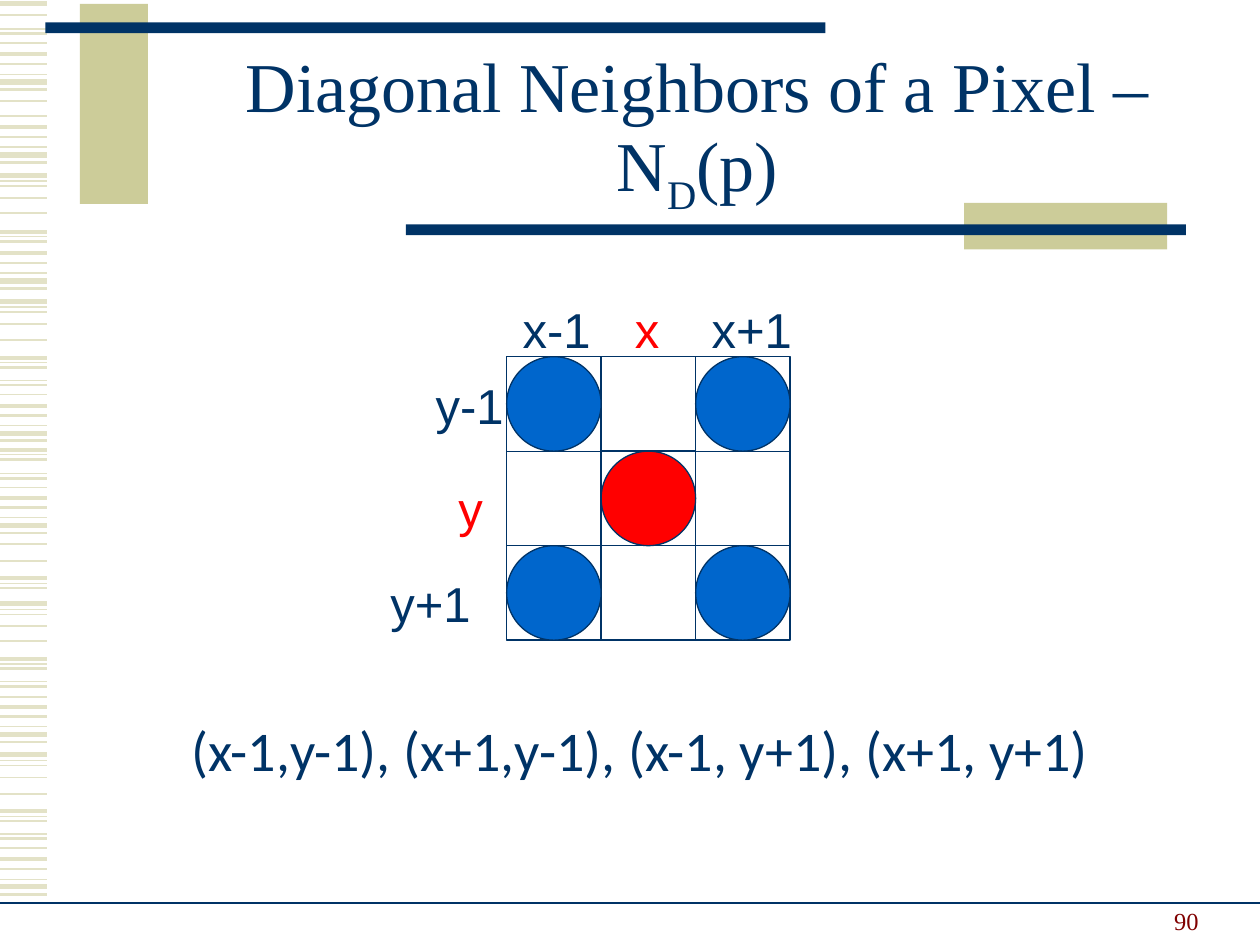
from dataclasses import dataclass
from itertools import product

from lxml import etree
from pptx import Presentation
from pptx import util as u
from pptx.dml.color import RGBColor
from pptx.enum import shapes, text
from pptx.oxml.ns import qn

COLORS = {"navy": "003366", "khaki": "CCCC99", "stripe": "E3E2C7", "red": "FF0000",
          "blue": "0066CC", "maroon": "800000"}
RECT, OVAL = shapes.MSO_SHAPE.RECTANGLE, shapes.MSO_SHAPE.OVAL
GRID_LEFT, GRID_TOP, CELL = 289.5, 203.8, 54


@dataclass
class Motif:
    lines: list[tuple[float, float]]
    starts: list[float]


@dataclass
class Box:
    left: float
    top: float
    width: float
    height: float


@dataclass
class Label:
    words: str
    left: float
    top: float
    width: float
    color: str = "navy"


MOTIFS = [
    Motif([(0, 2.25), (5.6, 1.5), (11.4, 0.75), (15.8, 3), (20.1, 1.5)],
          [31, 72.7, 144.7, 231.8, 284.4, 403.9, 491]),
    Motif([(0, 2.25), (2.8, 0.75), (5.5, 1.5)],
          [132.5, 204.5, 257, 330.5, 376.6, 463.7]),
    Motif([(0, 3), (3.4, 0.75), (6.2, 1), (13, 1)], [100.1, 172.1, 344.9, 431.3]),
    Motif([(0, 0.75), (2.7, 1.5)], [16.6, 217.4, 270.7, 389.5, 476.6]),
    Motif([(0, 1)], [24.5, 57.6, 66.2, 121.7, 194.4, 225.4, 278.6, 311, 320.4,
                     366.5, 398.2, 453.6, 484.6]),
    Motif([(0, 3), (6.4, 1.5)], [2.2]),
]
BARS = [
    (Box(45.7, 2.2, 38.9, 114.3), "khaki"),
    (Box(25.9, 12.8, 445.7, 6.2), "navy"),
    (Box(551, 116, 116, 26.6), "khaki"),
    (Box(232, 128.2, 445.7, 6.2), "navy"),
]
LABELS = [
    Label("x-1", 291.6, 167.8, 53.3),
    Label("x+1", 399.6, 167.8, 60.5),
    Label("x", 355.7, 167.8, 28.8, "red"),
    Label("y-1", 241.9, 211, 53.3),
    Label("y+1", 216, 324, 61.2),
    Label("y", 254.9, 270, 28.8, "red"),
]


def rgb(name: str) -> RGBColor:
    """Look up a named colour."""
    return RGBColor.from_string(COLORS[name])


def add_line(s, y: float, right: float, weight: float, color: str) -> None:
    """Draw a horizontal line from the left edge of the slide."""
    sp = s.shapes.add_connector(shapes.MSO_CONNECTOR.STRAIGHT,
                                u.Pt(0), u.Pt(y), u.Pt(right), u.Pt(y))
    sp.line.color.rgb = rgb(color)
    sp.line.width = u.Pt(weight)
    etree.SubElement(sp._element.spPr, qn("a:effectLst"))


def add_figure(s, kind, box: Box, fill: str | None = None, line: str | None = None) -> None:
    """Draw a preset shape with an optional fill and outline."""
    sp = s.shapes.add_shape(kind, u.Pt(box.left), u.Pt(box.top),
                            u.Pt(box.width), u.Pt(box.height))
    sp.shadow.inherit = False
    if fill:
        sp.fill.solid()
        sp.fill.fore_color.rgb = rgb(fill)
    else:
        sp.fill.background()
    if line:
        sp.line.color.rgb = rgb(line)
        sp.line.width = u.Pt(0.75)
    else:
        sp.line.fill.background()


def add_text(s, words: list[str], box: Box, size: float, font: str, color: str = "navy",
             wrap: bool = True, align=text.PP_ALIGN.LEFT, anchor=text.MSO_ANCHOR.TOP,
             spacing: float = 1.0):
    """Add one paragraph made of the given runs and return it."""
    sp = s.shapes.add_textbox(u.Pt(box.left), u.Pt(box.top), u.Pt(box.width), u.Pt(box.height))
    tf = sp.text_frame
    tf.word_wrap = wrap
    tf.vertical_anchor = anchor
    p = tf.paragraphs[0]
    p.alignment = align
    p.line_spacing = spacing
    for word in words:
        r = p.add_run()
        r.text = word
        r.font.size = u.Pt(size)
        r.font.name = font
        r.font.color.rgb = rgb(color)
    return p


def add_grid(s) -> None:
    """Draw the pixel grid with its centre and diagonal neighbours."""
    def cell(col: int, row: int, span: int = 1) -> Box:
        return Box(GRID_LEFT + col * CELL, GRID_TOP + row * CELL, span * CELL, span * CELL)

    add_figure(s, OVAL, cell(1, 1), "red", "navy")
    for col, row in [(1, 0), (2, 1), (1, 2), (0, 1)]:
        add_figure(s, RECT, cell(col, row), line="navy")
    add_figure(s, RECT, cell(0, 0, 3), line="navy")
    for col, row in product((0, 2), repeat=2):
        add_figure(s, OVAL, cell(col, row), "blue", "navy")


def main() -> None:
    """Build and save the slide."""
    prs = Presentation()
    prs.slide_width, prs.slide_height = u.Pt(720), u.Pt(540)
    s = prs.slides.add_slide(prs.slide_layouts[6])
    for motif in MOTIFS:
        for start, (offset, weight) in product(motif.starts, motif.lines):
            add_line(s, start + offset, 27, weight, "stripe")
    for box, color in BARS:
        add_figure(s, RECT, box, color)
    add_line(s, 516, 720, 0.75, "navy")
    add_text(s, ["90"], Box(519, 502, 173, 36), 14, "Times New Roman", "maroon",
             align=text.PP_ALIGN.RIGHT, anchor=text.MSO_ANCHOR.BOTTOM)
    p = add_text(s, ["Diagonal Neighbors of a Pixel –N", "D", "(p)"], Box(108, 30.2, 581, 90),
                 40, "Times New Roman", align=text.PP_ALIGN.CENTER,
                 anchor=text.MSO_ANCHOR.MIDDLE, spacing=0.85)
    p.runs[1].font._element.set("baseline", "-25000")
    add_grid(s)
    for label in LABELS:
        add_text(s, [label.words], Box(label.left, label.top, label.width, 41), 28, "Arial",
                 label.color, wrap=False)
    add_text(s, ["(x-1,y-1), (x+1,y-1), (x-1, y+1), (x+1, y+1)"], Box(102.2, 413, 570, 40),
             32, "Calibri", spacing=0.8)
    prs.save("out.pptx")


if __name__ == "__main__":
    main()
